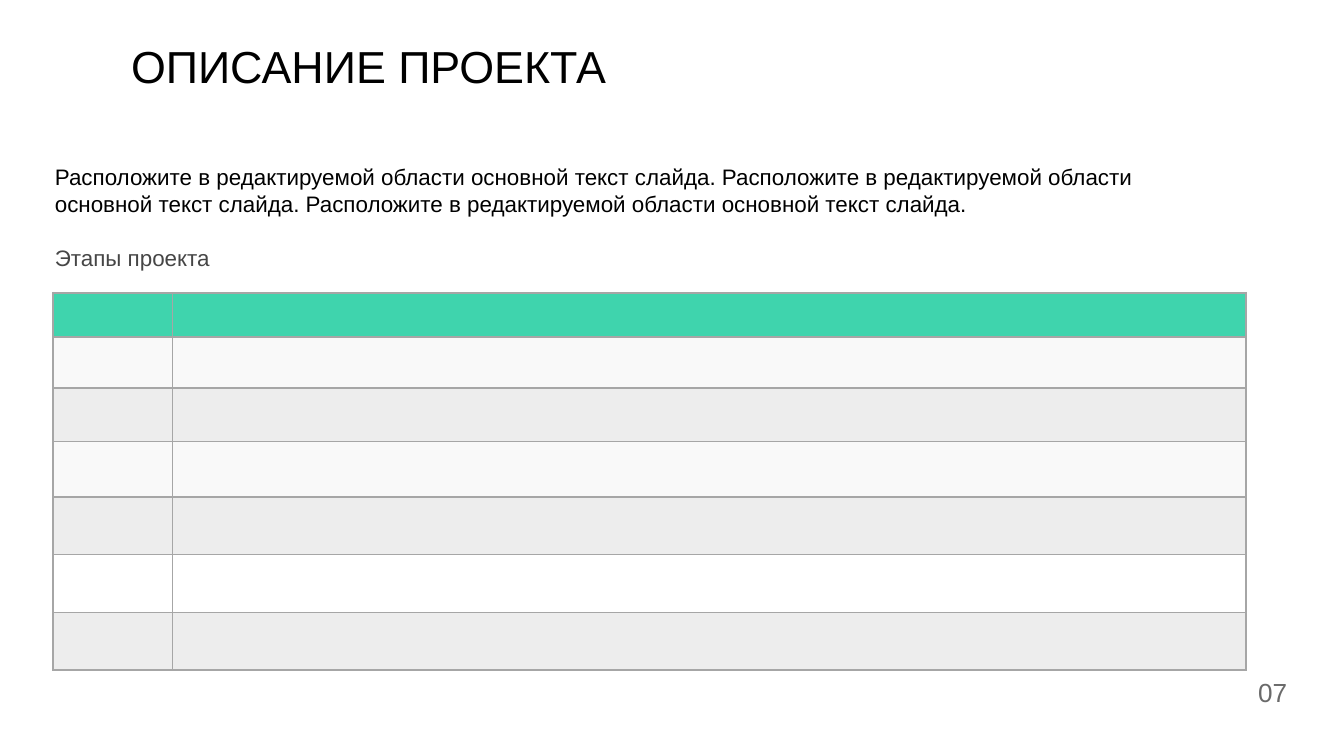
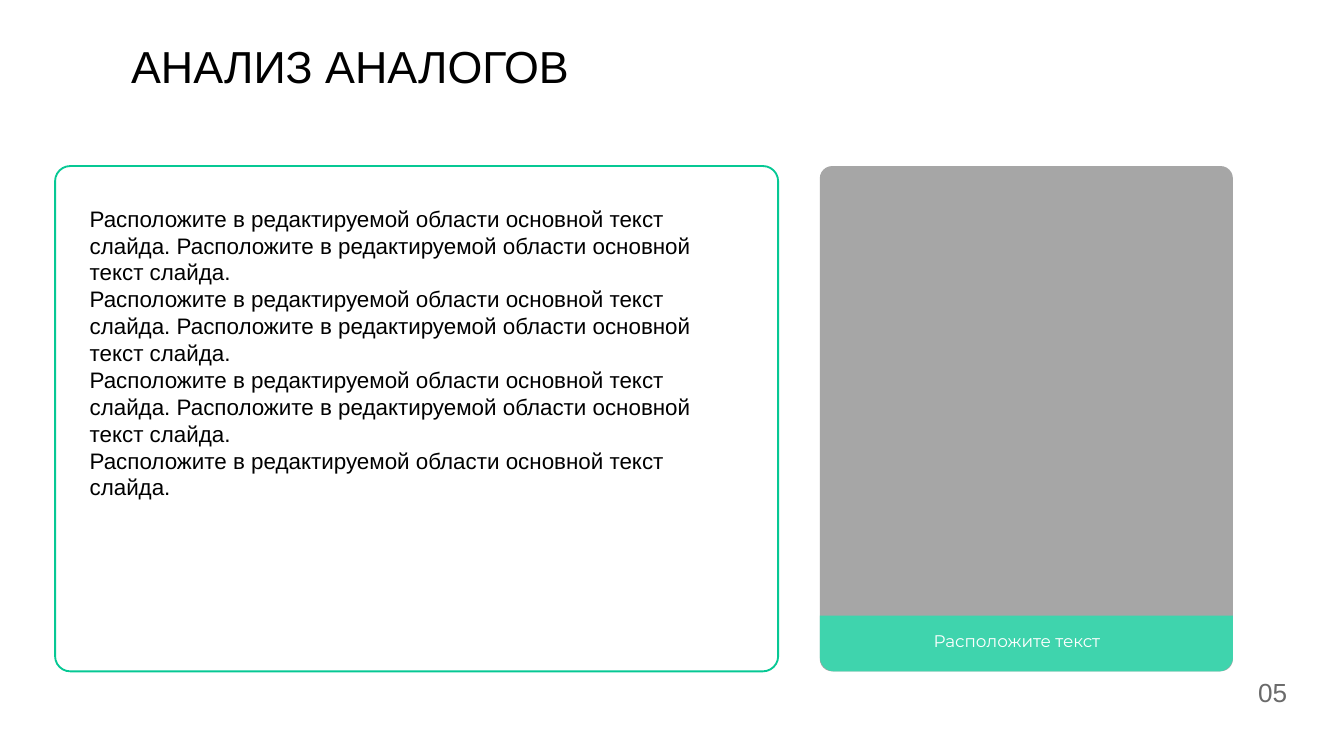
import lxml.etree
import pptx
import pptx.dml.color
import pptx.enum.shapes
import pptx.enum.text
import pptx.oxml.ns
import pptx.util

COLORS = {"black": "000000", "heading": "464646", "number": "6A6A6A",
          "white": "FFFFFF", "gray": "A6A6A6", "mint": "3FD4AD",
          "green": "06C894", "light": "D9D9D9", "pale": "EDEDED", "dark": "808080"}
RGB = {name: pptx.dml.color.RGBColor.from_string(value) for name, value in COLORS.items()}
SHAPES = pptx.enum.shapes.MSO_SHAPE
ANCHOR = pptx.enum.text.MSO_ANCHOR
qn = pptx.oxml.ns.qn

deck = pptx.Presentation()
deck.slide_width = pptx.util.Inches(10)
deck.slide_height = pptx.util.Inches(5.625)

SENTENCE = "Расположите в редактируемой области основной текст слайда."
TEXT_LEFT = 3.38
PANEL_TOP, PANEL_HEIGHT = 21.97, 66.84
PHOTO_LEFT, PHOTO_WIDTH = 61, 30.74
BAND_HEIGHT = 7.38


def area(left, top, width, height):
    """Turn percentages of the slide into left, top, width and height."""
    return (round(deck.slide_width * left / 100), round(deck.slide_height * top / 100),
            round(deck.slide_width * width / 100), round(deck.slide_height * height / 100))


def write(page, text, place, box=None, size=12, color="black", font="Arial",
          anchor=ANCHOR.TOP, spacing=1.0, insets=(0.07, 0.04)):
    """Fill a placeholder, or a new text box, with one paragraph per line."""
    box = box or page.shapes.add_textbox(*area(*place))
    box.left, box.top, box.width, box.height = area(*place)
    frame = box.text_frame
    frame.text = text
    frame.word_wrap = True
    frame.auto_size = pptx.enum.text.MSO_AUTO_SIZE.NONE
    frame.vertical_anchor = anchor
    frame.margin_left = frame.margin_right = pptx.util.Inches(insets[0])
    frame.margin_top = frame.margin_bottom = pptx.util.Inches(insets[1])
    for para in frame.paragraphs:
        properties = para._p.get_or_add_pPr()
        properties.set("marL", "0")
        properties.set("indent", "0")
        lxml.etree.SubElement(properties, qn("a:buNone"))
        para.alignment = pptx.enum.text.PP_ALIGN.LEFT
        para.line_spacing = spacing
        para.space_before = pptx.util.Pt(0)
        for span in para.runs:
            span.font.name = font
            span.font.size = pptx.util.Pt(size)
            span.font.color.rgb = RGB[color]


# Both slides: title and page number
pages = []
for title, number in (("ОПИСАНИЕ ПРОЕКТА", "07"), ("АНАЛИЗ АНАЛОГОВ", "05")):
    page = deck.slides.add_slide(deck.slide_layouts[1])
    write(page, title, (9.05, 5.03, 40.2, 8.18), box=page.shapes.title,
          size=24, anchor=ANCHOR.MIDDLE, spacing=0.9)
    write(page, number, (92.9, 88.77, 4.1, 5.5), size=14, color="number")
    pages.append(page)
project, analogues = pages

# Project description: introduction and table of stages
write(project, " ".join([SENTENCE] * 3), (TEXT_LEFT, 20.85, 89, 8.53),
      box=project.placeholders[1])
write(project, "Этапы проекта", (TEXT_LEFT, 31.65, 17.5, 4.98), color="heading")

STAGE_COLUMNS = (8.9, 79.9)
LIGHT_ROW = (("light", 14), ("light", 14))
DARK_ROW = (("pale", 100), ("dark", 14))
STAGE_ROWS = ((5.83, (("mint", 100), ("mint", 100))),
              (6.76, LIGHT_ROW), (7.11, DARK_ROW), (7.33, LIGHT_ROW), (7.64, DARK_ROW),
              (7.64, (("white", 100), ("white", 100))), (7.64, DARK_ROW))
stages = project.shapes.add_table(
    len(STAGE_ROWS), len(STAGE_COLUMNS),
    *area(3.93, 38.72, sum(STAGE_COLUMNS), sum(height for height, fills in STAGE_ROWS))).table
stages.first_row = stages.horz_banding = False
for column, width in zip(stages.columns, STAGE_COLUMNS):
    column.width = area(0, 0, width, 0)[2]
for row, (height, fills) in zip(stages.rows, STAGE_ROWS):
    row.height = area(0, 0, 0, height)[3]
    for cell, (color, opacity) in zip(row.cells, fills):
        properties = cell._tc.get_or_add_tcPr()
        for side in ("a:lnL", "a:lnR", "a:lnT", "a:lnB"):
            border = lxml.etree.SubElement(properties, qn(side), w=str(pptx.util.Pt(1)))
            paint = lxml.etree.SubElement(border, qn("a:solidFill"))
            lxml.etree.SubElement(paint, qn("a:srgbClr"), val=COLORS["gray"])
        cell.fill.solid()
        cell.fill.fore_color.rgb = RGB[color]
        if opacity < 100:
            tint = properties.find(qn("a:solidFill")).find(qn("a:srgbClr"))
            lxml.etree.SubElement(tint, qn("a:alpha"), val=str(opacity * 1000))
        # A small end mark keeps empty cells from stretching their row
        lxml.etree.SubElement(cell.text_frame.paragraphs[0]._p, qn("a:endParaRPr"), sz="800")

# Analysis of analogues: framed text beside a captioned panel
PANELS = (
    (SHAPES.ROUNDED_RECTANGLE, (PHOTO_LEFT, PANEL_TOP, PHOTO_WIDTH, PANEL_HEIGHT),
     (0.03,), 0, "gray", None),
    (SHAPES.ROUND_2_SAME_RECTANGLE,
     (PHOTO_LEFT, PANEL_TOP + PANEL_HEIGHT - BAND_HEIGHT, PHOTO_WIDTH, BAND_HEIGHT),
     (0.255, 0), 180, "mint", None),
    (SHAPES.ROUNDED_RECTANGLE, (4.1, PANEL_TOP, 53.8, PANEL_HEIGHT),
     (0.03,), 0, None, "green"),
)
for kind, place, corners, turn, fill, line in PANELS:
    panel = analogues.shapes.add_shape(kind, *area(*place))
    panel.shadow.inherit = False
    panel.rotation = turn
    for index, corner in enumerate(corners):
        panel.adjustments[index] = corner
    if fill:
        panel.fill.solid()
        panel.fill.fore_color.rgb = RGB[fill]
    else:
        panel.fill.background()
    if line:
        panel.line.color.rgb = RGB[line]
        panel.line.width = pptx.util.Pt(1)
    else:
        panel.line.fill.background()

write(analogues, "Расположите текст", (68.77, 82.7, 15.2, 4.09),
      size=9, color="white", font="Montserrat")
write(analogues, "\n".join([f"{SENTENCE} {SENTENCE}"] * 3 + [SENTENCE]),
      (5.67, 26.2, 50.6, 41.24), box=analogues.placeholders[1], insets=(0.1, 0.05))

deck.save("out.pptx")
